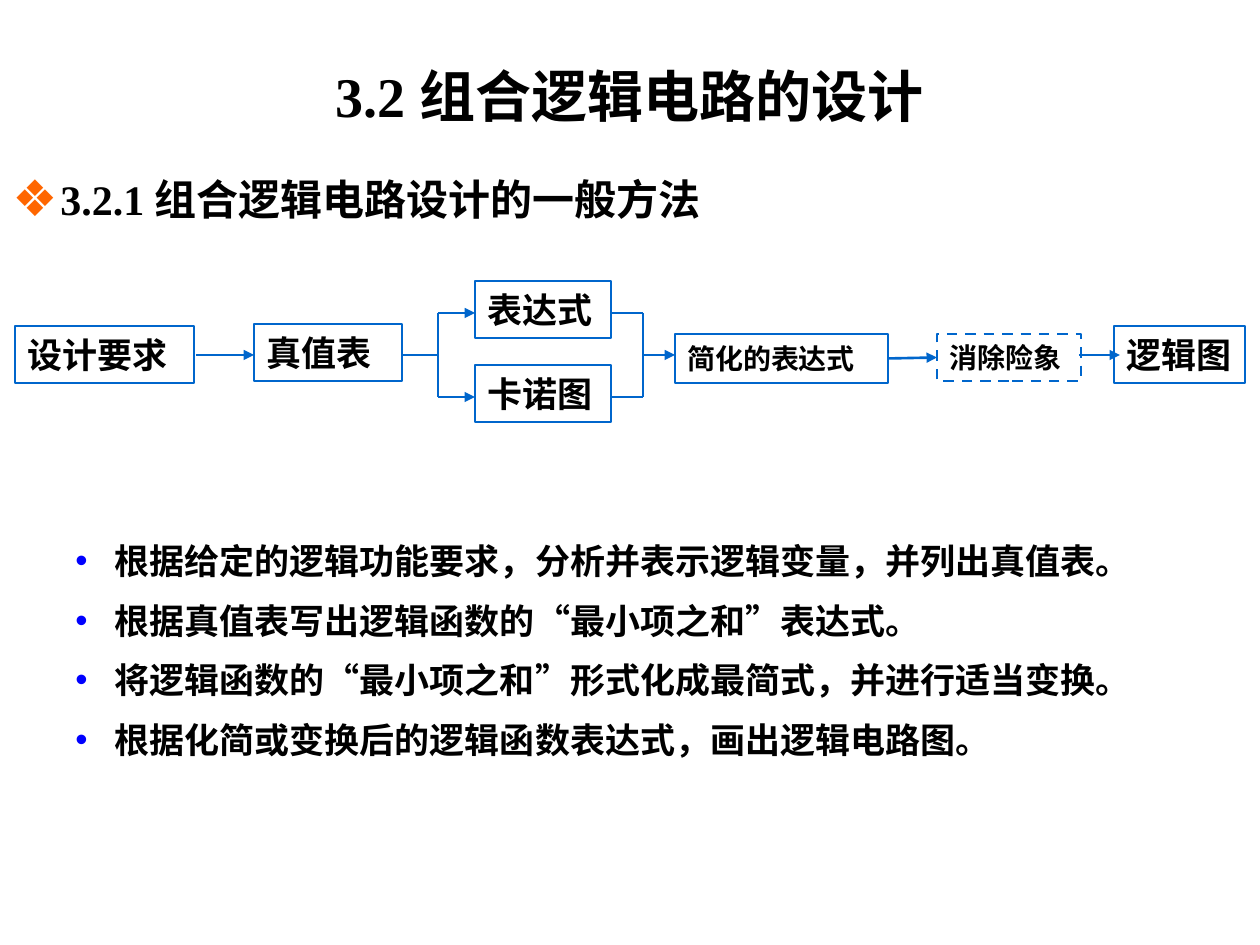
from dataclasses import dataclass
from typing import Optional

from lxml.etree import SubElement
from pptx import Presentation
from pptx.dml.color import RGBColor
from pptx.enum.dml import MSO_LINE
from pptx.enum.shapes import MSO_CONNECTOR, MSO_SHAPE
from pptx.enum.text import MSO_ANCHOR, PP_ALIGN
from pptx.oxml.ns import qn
from pptx.util import Emu, Pt

PX_PER_INCH = 126
COLOURS = {"ink": "000000", "flow": "0066CC", "diamond": "FF6600", "dot": "0000FF"}
LATIN = "Times New Roman"
CHINESE = "Noto Sans CJK SC"
LEFT_SIDE, RIGHT_SIDE = 1, 3


@dataclass(frozen=True)
class Step:
    text: str
    left: int
    top: int
    width: int
    height: int = 57
    size: int = 20
    dashed: bool = False


@dataclass(frozen=True)
class Wire:
    x1: int
    y1: int
    x2: int
    y2: int
    arrow: bool = False
    source: Optional[str] = None
    target: Optional[str] = None


STEPS = [
    Step("设计要求", 15, 326, 179),
    Step("真值表", 254, 324, 148),
    Step("表达式", 475, 281, 136),
    Step("卡诺图", 475, 365, 136),
    Step("简化的表达式", 675, 334, 213, 49, 16),
    Step("消除险象", 937, 334, 144, 47, 16, dashed=True),
    Step("逻辑图", 1114, 326, 131),
]

FORK, MERGE = 438, 643
UPPER, MIDDLE, LOWER = 313, 355, 397
WIRES = [
    Wire(196, MIDDLE, 254, MIDDLE, True),
    Wire(402, MIDDLE, FORK, MIDDLE),
    Wire(FORK, UPPER, FORK, LOWER),
    Wire(FORK, UPPER, 475, UPPER, True),
    Wire(FORK, LOWER, 475, LOWER, True),
    Wire(611, UPPER, MERGE, UPPER),
    Wire(611, LOWER, MERGE, LOWER),
    Wire(MERGE, UPPER, MERGE, LOWER),
    Wire(MERGE, MIDDLE, 675, MIDDLE, True),
    Wire(888, 357, 937, 357, True, "简化的表达式", "消除险象"),
    Wire(1079, MIDDLE, 1120, MIDDLE, True),
]

HEADING = "3.2.1 组合逻辑电路设计的一般方法"
METHOD = [
    "根据给定的逻辑功能要求，分析并表示逻辑变量，并列出真值表。",
    "根据真值表写出逻辑函数的“最小项之和”表达式。",
    "将逻辑函数的“最小项之和”形式化成最简式，并进行适当变换。",
    "根据化简或变换后的逻辑函数表达式，画出逻辑电路图。",
]


def px(value: int) -> Emu:
    return Emu(round(value * 914400 / PX_PER_INCH))


def colour(name: str) -> RGBColor:
    return RGBColor.from_string(COLOURS[name])


def write(para, text: str, *, size: int, font: str = LATIN, align=PP_ALIGN.LEFT,
          spacing: float = 1.0, after: int = 0) -> None:
    para.alignment = align
    para.line_spacing = spacing
    para.space_before = Pt(0)
    para.space_after = Pt(after)
    span = para.add_run()
    span.text = text
    span.font.size = Pt(size)
    span.font.bold = True
    span.font.name = font
    span.font.color.rgb = colour("ink")
    SubElement(span.font._element, qn("a:ea"), typeface=CHINESE)


def add_bullet(para, mark: str, colour_name: str, *, margin: int, hang: int, percent: int = 100) -> None:
    props = para._p.get_or_add_pPr()
    props.set("marL", str(px(margin)))
    props.set("indent", str(-px(hang)))
    tint = SubElement(props, qn("a:buClr"))
    SubElement(tint, qn("a:srgbClr"), val=COLOURS[colour_name])
    SubElement(props, qn("a:buSzPct"), val=str(percent * 1000))
    SubElement(props, qn("a:buFont"), typeface="Arial")
    SubElement(props, qn("a:buChar"), char=mark)


def add_text_frame(page, left: int, top: int, width: int, height: int):
    box = page.shapes.add_textbox(px(left), px(top), px(width), px(height))
    box.text_frame.word_wrap = True
    return box.text_frame


def add_title(page, text: str) -> None:
    title = page.shapes.title
    title.left, title.top, title.width, title.height = px(94), px(74), px(1071), px(42)
    title.text_frame.vertical_anchor = MSO_ANCHOR.MIDDLE
    write(title.text_frame.paragraphs[0], text, size=32, align=PP_ALIGN.CENTER)


def style_line(line) -> None:
    line.color.rgb = colour("flow")
    line.width = Pt(1.5)


def add_step(page, step: Step):
    box = page.shapes.add_shape(
        MSO_SHAPE.RECTANGLE, px(step.left), px(step.top), px(step.width), px(step.height))
    box.shadow.inherit = False
    box.fill.background()
    style_line(box.line)
    if step.dashed:
        box.line.dash_style = MSO_LINE.DASH
    box.text_frame.word_wrap = True
    box.text_frame.vertical_anchor = MSO_ANCHOR.MIDDLE
    write(box.text_frame.paragraphs[0], step.text, size=step.size)
    return box


def add_wire(page, wire: Wire, boxes: dict) -> None:
    line = page.shapes.add_connector(
        MSO_CONNECTOR.STRAIGHT, px(wire.x1), px(wire.y1), px(wire.x2), px(wire.y2))
    style_line(line.line)
    if wire.arrow:
        SubElement(line.line._get_or_add_ln(), qn("a:tailEnd"), type="triangle")
    SubElement(line._element.spPr, qn("a:effectLst"))
    if wire.source:
        line.begin_connect(boxes[wire.source], RIGHT_SIDE)
    if wire.target:
        line.end_connect(boxes[wire.target], LEFT_SIDE)


def main() -> None:
    deck = Presentation()
    deck.slide_width, deck.slide_height = px(1260), px(945)
    page = deck.slides.add_slide(deck.slide_layouts[5])
    add_title(page, "3.2 组合逻辑电路的设计")

    heading = add_text_frame(page, 0, 155, 1226, 80).paragraphs[0]
    write(heading, HEADING, size=24, spacing=1.25)
    add_bullet(heading, "❖", "diamond", margin=48, hang=48, percent=120)

    boxes = {step.text: add_step(page, step) for step in STEPS}
    for wire in WIRES:
        add_wire(page, wire, boxes)

    method = add_text_frame(page, 0, 523, 1226, 255)
    for index, text in enumerate(METHOD):
        para = method.add_paragraph() if index else method.paragraphs[0]
        write(para, text, size=20, font=CHINESE, spacing=1.25, after=4)
        add_bullet(para, "•", "dot", margin=102, hang=39)

    deck.save("out.pptx")


if __name__ == "__main__":
    main()
